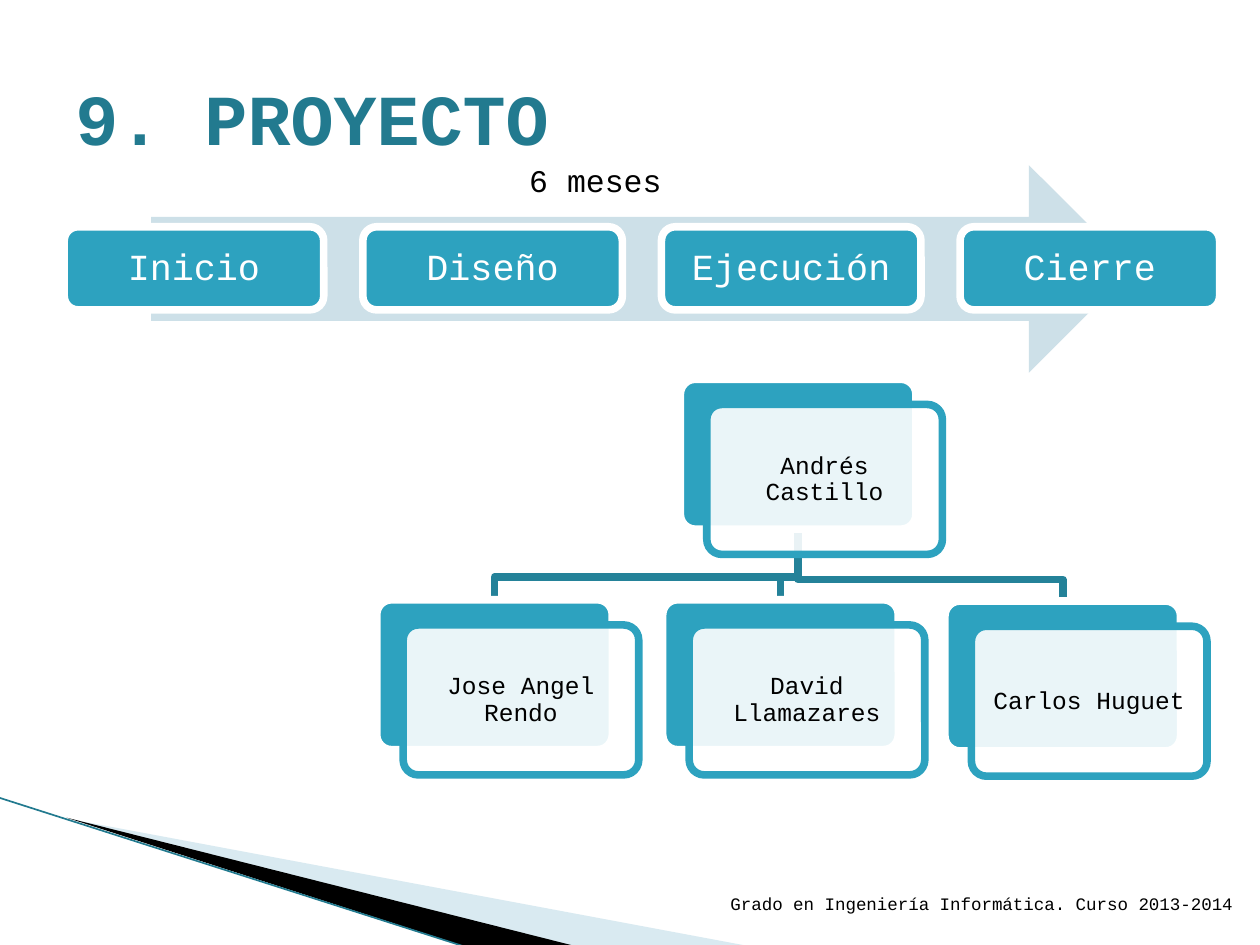
from lxml.etree import SubElement
from pptx import Presentation
from pptx.dml.color import RGBColor
from pptx.enum.shapes import MSO_CONNECTOR, MSO_SHAPE
from pptx.enum.text import MSO_ANCHOR as Anchor, PP_ALIGN as Align
from pptx.oxml.ns import qn
from pptx.util import Inches, Pt

FONT = "Courier New"
TEAL = "2DA2BF"
WHITE = "FFFFFF"
BLACK = "000000"
LINE_WIDTH = 4.33
CARD_SIZE = (1.87, 1.19)


def color(hex_code):
    """Turn a hex string into a colour."""
    return RGBColor.from_string(hex_code)


def paint(shape, fill=None, line=None, width=LINE_WIDTH, opacity=100):
    """Set the fill, opacity and outline of a shape without shadow."""
    shape.shadow.inherit = False
    if fill:
        shape.fill.solid()
        shape.fill.fore_color.rgb = color(fill)
        if opacity < 100:
            solid = shape.fill._xPr.find(qn("a:solidFill"))
            SubElement(solid[0], qn("a:alpha"), val=str(opacity * 1000))
    else:
        shape.fill.background()
    if line:
        shape.line.color.rgb = color(line)
        shape.line.width = Pt(width)
    else:
        shape.line.fill.background()


def write(shape, text, size, font_color, align=Align.CENTER, anchor=Anchor.MIDDLE,
          bold=False, margin=None, spacing=None):
    """Put one styled paragraph into a shape."""
    frame = shape.text_frame
    frame.word_wrap = True
    frame.vertical_anchor = anchor
    if margin is not None:
        frame.margin_left = frame.margin_right = Inches(margin)
        frame.margin_top = frame.margin_bottom = Inches(margin)
    paragraph = frame.paragraphs[0]
    paragraph.text = text
    paragraph.alignment = align
    paragraph.line_spacing = spacing
    font = paragraph.font
    font.name, font.size, font.bold = FONT, Pt(size), bold
    font.color.rgb = color(font_color)


def add_label(slide, box, text, size, font_color, **style):
    """Add a text box."""
    write(slide.shapes.add_textbox(*map(Inches, box)), text, size, font_color, **style)


def add_preset(slide, kind, box, **style):
    """Add a painted preset shape."""
    shape = slide.shapes.add_shape(kind, *map(Inches, box))
    paint(shape, **style)
    return shape


def add_outline(slide, points, closed=True, **style):
    """Add a freeform through points given in inches."""
    start, *others = [(Inches(x), Inches(y)) for x, y in points]
    builder = slide.shapes.build_freeform(*start)
    builder.add_line_segments(others, close=closed)
    paint(builder.convert_to_shape(), **style)


def add_corner_decoration(slide):
    """Draw the wedges and the thin line in the lower left corner."""
    add_outline(slide, [(0.55, 6.5), (5.95, 7.51), (4.56, 7.51)],
                fill="A0CBDC", opacity=40)
    add_outline(slide, [(0.53, 6.49), (4.57, 7.51), (3.72, 7.52)], fill=BLACK)
    ends = map(Inches, (-0.01, 6.33, 3.71, 7.52))
    line = slide.shapes.add_connector(MSO_CONNECTOR.STRAIGHT, *ends)
    line.line.color.rgb = color("227A8F")
    line.line.width = Pt(0.95)
    SubElement(line._element.spPr, qn("a:effectLst"))


def add_branch(slide, start, end, bend):
    """Draw an elbow line from the leader down to a member."""
    points = [start, (start[0], bend), (end[0], bend), end]
    add_outline(slide, points, closed=False, line="248299")


def add_card(slide, left, top, name):
    """Add a solid card with a translucent name card in front."""
    back = add_preset(slide, MSO_SHAPE.ROUNDED_RECTANGLE, (left, top, *CARD_SIZE),
                      fill=TEAL, line=WHITE)
    front = add_preset(slide, MSO_SHAPE.ROUNDED_RECTANGLE,
                       (left + 0.21, top + 0.2, *CARD_SIZE),
                       fill=WHITE, line=TEAL, opacity=90)
    for card in (back, front):
        card.adjustments[0] = 0.1
    write(front, name, 14, BLACK, margin=0.06, spacing=0.9)


def add_team(slide):
    """Draw the team chart: a leader above three members."""
    left, top = 5.4, 3.01
    members = [(7.5, 4.77, 4.6, "Carlos Huguet"),
               (5.26, 4.76, 4.58, "David Llamazares"),
               (2.99, 4.76, 4.58, "Jose Angel Rendo")]
    middle = CARD_SIZE[0] / 2
    start = (left + middle, top + CARD_SIZE[1])
    for member_left, member_top, bend, _ in members:
        add_branch(slide, start, (member_left + middle, member_top), bend)
    add_card(slide, left, top, "Andrés Castillo")
    for member_left, member_top, _, name in reversed(members):
        add_card(slide, member_left, member_top, name)


def add_phases(slide):
    """Draw the arrow with the project phases on it."""
    add_preset(slide, MSO_SHAPE.RIGHT_ARROW, (1.2, 1.31, 7.79, 1.65), fill="CDE0E8")
    for index, phase in enumerate(["Inicio", "Diseño", "Ejecución", "Cierre"]):
        box = (0.51 + 2.37 * index, 1.8, 2.06, 0.66)
        step = add_preset(slide, MSO_SHAPE.ROUNDED_RECTANGLE, box, fill=TEAL, line=WHITE)
        write(step, phase, 21, WHITE, margin=0.09, spacing=0.9)


def main():
    """Build the slide and save it."""
    presentation = Presentation()
    presentation.slide_width, presentation.slide_height = Inches(10), Inches(7.5)
    slide = presentation.slides.add_slide(presentation.slide_layouts[6])
    add_corner_decoration(slide)
    add_label(slide, (0.5, 0.3, 9, 1.25), "9. PROYECTO", 41, "227A8F",
              align=Align.LEFT, bold=True)
    add_label(slide, (5.63, 6.9, 4.25, 0.4),
              "Grado en Ingeniería Informática. Curso 2013-2014", 10, BLACK,
              align=Align.RIGHT, anchor=Anchor.BOTTOM)
    add_team(slide)
    add_phases(slide)
    add_label(slide, (2.48, 1.23, 4.49, 0.4), "6 meses", 18, BLACK, anchor=Anchor.TOP)
    presentation.save("out.pptx")


if __name__ == "__main__":
    main()
